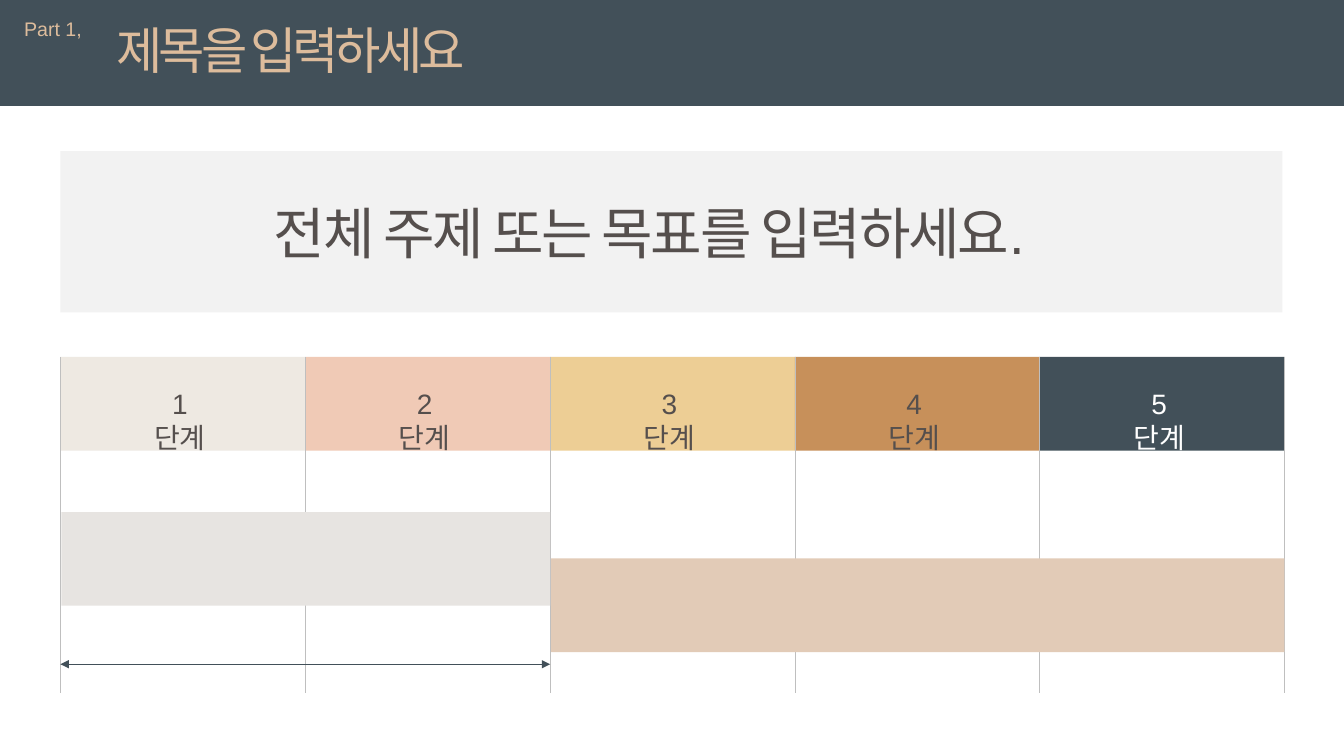
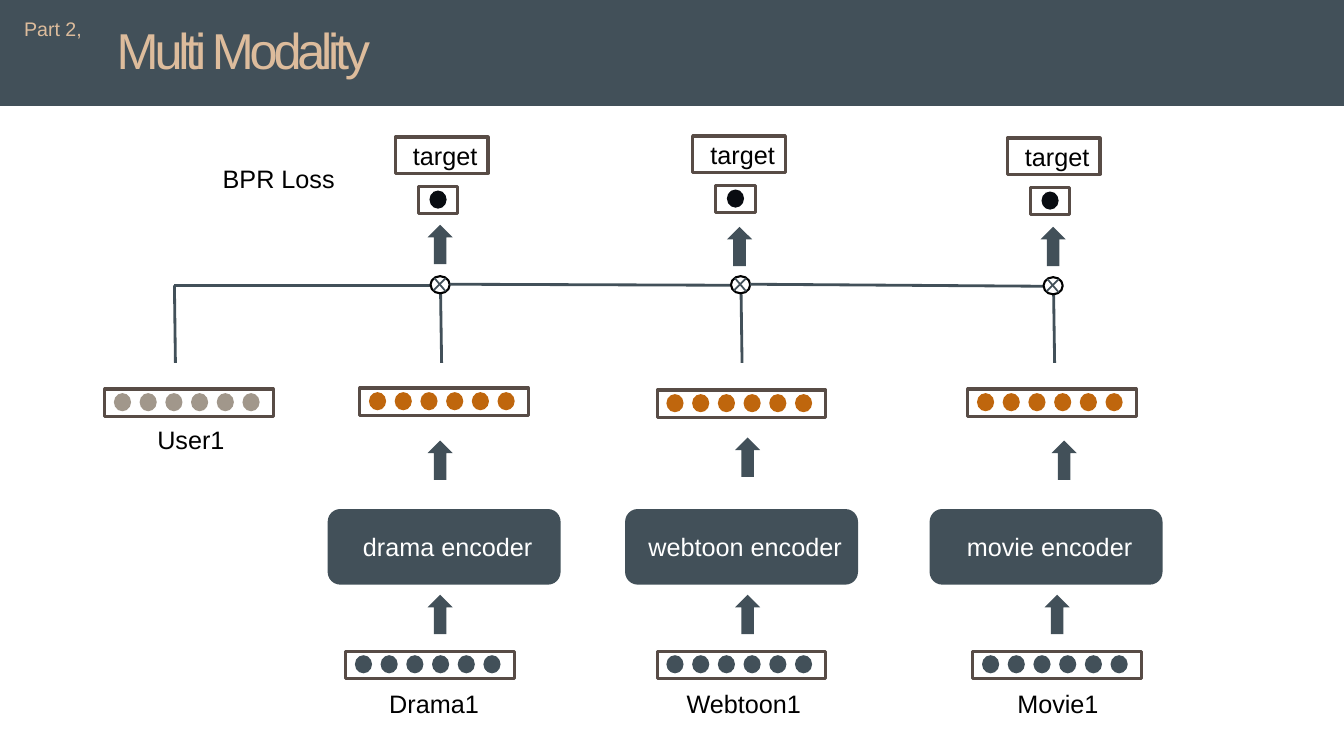
import pptx
import pptx.util
import pptx.dml.color
import pptx.enum.shapes
import pptx.enum.text
import pptx.oxml.ns
import lxml.etree

Inches, Pt = pptx.util.Inches, pptx.util.Pt
RGBColor = pptx.dml.color.RGBColor
MSO_SHAPE = pptx.enum.shapes.MSO_SHAPE
PP_ALIGN = pptx.enum.text.PP_ALIGN
qn = pptx.oxml.ns.qn

# Shared style
FONT = "Arial"
SLATE = RGBColor(0x42, 0x50, 0x59)
SAND = RGBColor(0xDD, 0xBC, 0x9C)
INK = RGBColor(0x55, 0x4F, 0x4D)
FRAME = RGBColor(0x58, 0x4C, 0x46)
WHITE = RGBColor(0xFF, 0xFF, 0xFF)
BLACK = RGBColor(0x00, 0x00, 0x00)
NIGHT = RGBColor(0x09, 0x0C, 0x11)
ORANGE = RGBColor(0xBF, 0x66, 0x0D)
TAUPE = RGBColor(0xA1, 0x97, 0x8B)
GRID = RGBColor(0xBF, 0xBF, 0xBF)
PALE = RGBColor(0xF2, 0xF2, 0xF2)
BAR_GREY = RGBColor(0xE7, 0xE4, 0xE1)
BAR_TAN = RGBColor(0xE2, 0xCB, 0xB7)

# Slide 1 content
GOAL = "전체 주제 또는 목표를 입력하세요."
STEPS = [
    ("1단계", RGBColor(0xEE, 0xE9, 0xE2), INK),
    ("2단계", RGBColor(0xF0, 0xCA, 0xB6), INK),
    ("3단계", RGBColor(0xED, 0xCE, 0x95), INK),
    ("4단계", RGBColor(0xC7, 0x90, 0x5A), INK),
    ("5단계", SLATE, WHITE),
]
BARS = [(0, 2, 5.08, BAR_GREY), (2, 5, 5.54, BAR_TAN)]  # first, last column line, top

# Slide 2 content: one entry per modality, places as (left, top)
MODALITIES = [
    dict(encoder="drama encoder", item="Drama1", target=(3.92, 1.36), node=(4.27, 2.74),
         output=(3.57, 3.85), encoder_x=3.25, input_x=3.43, label_x=3.69,
         arrows=[(4.24, 2.23), (4.24, 4.37), (4.24, 5.9)]),
    dict(encoder="webtoon encoder", item="Webtoon1", target=(6.87, 1.35), node=(7.25, 2.74),
         output=(6.52, 3.87), encoder_x=6.2, input_x=6.52, label_x=6.64,
         arrows=[(7.21, 2.25), (7.29, 4.34), (7.29, 5.9)]),
    dict(encoder="movie encoder", item="Movie1", target=(9.99, 1.37), node=(10.35, 2.75),
         output=(9.6, 3.86), encoder_x=9.22, input_x=9.65, label_x=9.92,
         arrows=[(10.32, 2.25), (10.43, 4.37), (10.36, 5.9)]),
]


def add_run(tf, text, size, color, align=None, spacing=None):
    p = tf.paragraphs[0]
    p.alignment = align
    r = p.add_run()
    r.text = text
    r.font.name = FONT
    r.font.size = Pt(size)
    r.font.color.rgb = color
    if spacing:
        r.font._element.set("spc", str(int(spacing * 100)))


def shape(shapes, kind, x, y, w, h, fill=None, line=None, width=None):
    sp = shapes.add_shape(kind, Inches(x), Inches(y), Inches(w), Inches(h))
    sp.shadow.inherit = False
    if fill is None:
        sp.fill.background()
    else:
        sp.fill.solid()
        sp.fill.fore_color.rgb = fill
    if line is None:
        sp.line.fill.background()
    else:
        sp.line.color.rgb = line
        sp.line.width = Pt(width)
    return sp


def caption(sp, text, color):
    """Centred text in a shape, nudged slightly to the right."""
    tf = sp.text_frame
    tf.margin_left, tf.margin_right = Inches(0.12), Inches(0.05)
    tf.vertical_anchor = pptx.enum.text.MSO_ANCHOR.MIDDLE
    add_run(tf, text, 18, color, PP_ALIGN.CENTER)


def textbox(shapes, x, y, w, h, text, size, color, align=None, spacing=None,
            wrap=True, indent=0.1):
    tf = shapes.add_textbox(Inches(x), Inches(y), Inches(w), Inches(h)).text_frame
    tf.word_wrap = wrap
    tf.auto_size = pptx.enum.text.MSO_AUTO_SIZE.SHAPE_TO_FIT_TEXT
    tf.margin_left = Inches(indent)
    add_run(tf, text, size, color, align, spacing)


def line(shapes, x1, y1, x2, y2, color, width, arrows=False):
    cn = shapes.add_connector(pptx.enum.shapes.MSO_CONNECTOR.STRAIGHT,
                              Inches(x1), Inches(y1), Inches(x2), Inches(y2))
    cn.line.color.rgb = color
    cn.line.width = Pt(width)
    if arrows:
        ln = cn.line._get_or_add_ln()
        for end in ("a:headEnd", "a:tailEnd"):
            lxml.etree.SubElement(ln, qn(end), type="triangle")
    lxml.etree.SubElement(cn._element.spPr, qn("a:effectLst"))


def new_slide(prs, part, title):
    s = prs.slides.add_slide(prs.slide_layouts[6])
    shape(s.shapes, MSO_SHAPE.RECTANGLE, 0, 0, 13.33, 1.05, SLATE)
    textbox(s.shapes, 1.06, 0.14, 4.5, 0.71, title, 36, SAND, spacing=-3)
    textbox(s.shapes, 0.14, 0.12, 0.78, 0.34, part, 14, SAND, wrap=False)
    return s.shapes


def dot_strip(shapes, x, y, color, count=6, width=1.67, inset=0.09):
    """A framed row of evenly spaced dots."""
    g = shapes.add_group_shape().shapes
    for i in range(count):
        shape(g, MSO_SHAPE.OVAL, x + inset + 0.255 * i, y + 0.04, 0.17, 0.18, color)
    shape(g, MSO_SHAPE.RECTANGLE, x, y, width, 0.27, line=FRAME, width=2.25)


def product_node(shapes, x, y):
    g = shapes.add_group_shape().shapes
    shape(g, MSO_SHAPE.OVAL, x, y, 0.19, 0.17, line=BLACK, width=1.5)
    line(g, x + 0.04, y + 0.02, x + 0.15, y + 0.15, SLATE, 1.25)
    line(g, x + 0.03, y + 0.14, x + 0.15, y + 0.02, SLATE, 1.25)


def build_steps(prs):
    shapes = new_slide(prs, "Part 1,", "제목을 입력하세요")
    left, top, bottom, total = 0.6, 3.54, 6.88, 12.14
    pitch = total / len(STEPS)
    edges = [left + pitch * i for i in range(len(STEPS) + 1)]

    # Step headers, column lines and span arrow
    for x, (_, fill, _) in zip(edges, STEPS):
        shape(shapes, MSO_SHAPE.RECTANGLE, x, top, pitch, 0.93, fill)
    for x in edges:
        line(shapes, x, top, x, bottom, GRID, 0.5)
    line(shapes, edges[0], 6.59, edges[2], 6.59, SLATE, 0.5, arrows=True)
    for x, (label, _, color) in zip(edges, STEPS):
        textbox(shapes, x + (pitch - 0.8) / 2 - 0.03, 3.79, 0.8, 0.44, label, 20, color,
                PP_ALIGN.CENTER)

    # Goal banner
    shape(shapes, MSO_SHAPE.RECTANGLE, left, 1.5, 12.12, 1.6, PALE)
    textbox(shapes, 2.58, 1.92, 7.72, 0.77, GOAL, 40, INK, PP_ALIGN.CENTER, -1.5, wrap=False)

    # Schedule bars
    for first, last, y, fill in BARS:
        x = edges[first] + 0.01
        shape(shapes, MSO_SHAPE.RECTANGLE, x, y, edges[last] - x, 0.93, fill)


def build_modality(prs):
    shapes = new_slide(prs, "Part 2,", "Multi Modality")

    # User vector and start of the bus
    dot_strip(shapes, 1.04, 3.86, TAUPE)
    textbox(shapes, 1.39, 4.16, 1.01, 0.4, "User1", 18, BLACK, indent=0.17)
    textbox(shapes, 2.11, 1.57, 1.41, 0.4, "BPR Loss", 18, BLACK)
    bus_x, bus_y = 1.73, 2.83
    line(shapes, bus_x, bus_y, bus_x + 0.01, 3.6, SLATE, 2)

    for m in MODALITIES:
        # Input vector, encoder, output vector
        dot_strip(shapes, m["input_x"], 6.46, SLATE)
        textbox(shapes, m["label_x"], 6.78, 1.41, 0.4, m["item"], 18, BLACK, indent=0.17)
        sp = shape(shapes, MSO_SHAPE.ROUNDED_RECTANGLE, m["encoder_x"], 5.05, 2.31, 0.75, SLATE)
        caption(sp, m["encoder"], WHITE)
        dot_strip(shapes, *m["output"], ORANGE)
        for x, y in m["arrows"]:
            shape(shapes, MSO_SHAPE.UP_ARROW, x, y, 0.25, 0.39, SLATE)

        # Product node on the bus
        x, y = m["node"]
        line(shapes, x + 0.1, y + 0.17, x + 0.11, 3.6, SLATE, 2)
        line(shapes, bus_x, bus_y, x, y + 0.09, SLATE, 2)
        product_node(shapes, x, y)
        bus_x, bus_y = x + 0.19, y + 0.08

        # Target
        x, y = m["target"]
        dot_strip(shapes, x + 0.23, y + 0.49, NIGHT, count=1, width=0.39, inset=0.11)
        sp = shape(shapes, MSO_SHAPE.RECTANGLE, x, y, 0.92, 0.36, line=FRAME, width=2.25)
        caption(sp, "target", BLACK)


def main():
    prs = pptx.Presentation()
    prs.slide_width, prs.slide_height = Inches(13.33), Inches(7.5)
    build_steps(prs)
    build_modality(prs)
    prs.save("out.pptx")


if __name__ == "__main__":
    main()
